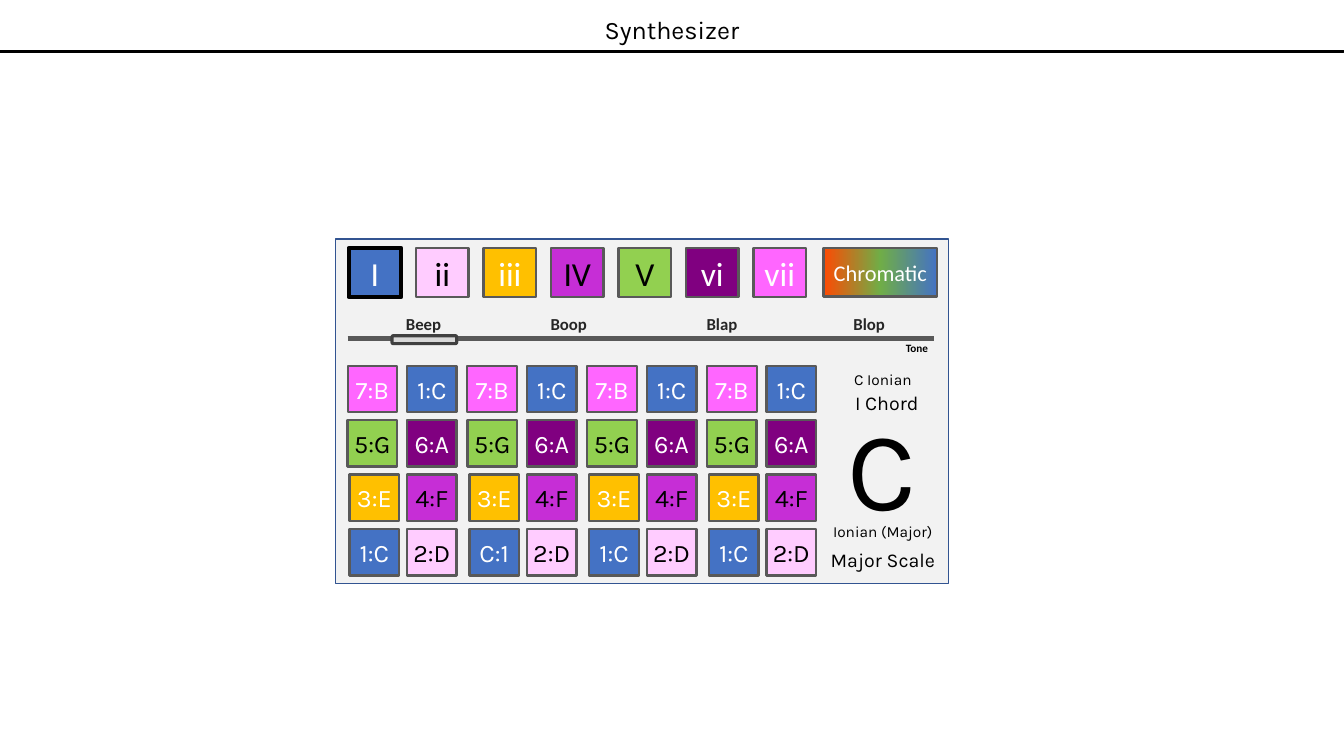
from copy import deepcopy

from lxml import etree
from pptx import Presentation
from pptx.dml.color import RGBColor
from pptx.enum.shapes import MSO_CONNECTOR, MSO_SHAPE
from pptx.enum.text import MSO_ANCHOR, PP_ALIGN
from pptx.oxml.ns import qn
from pptx.util import Cm, Pt

RECT, ROUND = MSO_SHAPE.RECTANGLE, MSO_SHAPE.ROUNDED_RECTANGLE
LINE = MSO_CONNECTOR.STRAIGHT
MID, TOP = MSO_ANCHOR.MIDDLE, MSO_ANCHOR.TOP
CENTER, RIGHT = PP_ALIGN.CENTER, PP_ALIGN.RIGHT

BLACK, WHITE, GRAY = "000000", "FFFFFF", "595959"
BLUE, PINK, ROSE, GOLD = "4472C4", "FFCCFF", "FF66FF", "FFC000"
VIOLET, LIME, PURPLE = "C62ED6", "92D050", "800080"


def color(code):
    return RGBColor.from_string(code)


class Board:
    """Style of the synthesizer and the slide it is drawn on."""
    head, body = "Karla", "Calibri"

    def __init__(self, slide):
        self.slide = slide
        self.shapes = slide.shapes

    def text(self, shape, words, size, font, ink, bold=False,
             align=CENTER, anchor=MID, wrap=False):
        frame = shape.text_frame
        frame.word_wrap = wrap
        frame.vertical_anchor = anchor
        par = frame.paragraphs[0]
        par.alignment = align
        run = par.add_run()
        run.text = words
        run.font.size = Pt(size)
        run.font.name = font
        run.font.bold = bold
        run.font.color.rgb = color(ink)

    def box(self, x, y, w, h, fill, line, width, kind=RECT):
        shape = self.shapes.add_shape(kind, Cm(x), Cm(y), Cm(w), Cm(h))
        shape.shadow.inherit = False
        shape.fill.solid()
        shape.fill.fore_color.rgb = color(fill)
        shape.line.color.rgb = color(line)
        shape.line.width = Pt(width)
        return shape

    def key(self, x, y, w, h, words, fill, ink, size, font,
            line=GRAY, width=None):
        width = width or (1.5 if fill == ROSE else 1.75)
        shape = self.box(x, y, w, h, fill, line, width)
        self.text(shape, words, size, font, ink)
        return shape

    def label(self, x, y, w, h, words, size, font, ink=BLACK, **style):
        shape = self.shapes.add_textbox(Cm(x), Cm(y), Cm(w), Cm(h))
        self.text(shape, words, size, font, ink, **style)

    def blend(self, shape, codes):
        shape.fill.gradient()
        shape.fill.gradient_angle = 0
        stops = shape._element.spPr.find(".//" + qn("a:gsLst"))
        while len(stops) < len(codes):
            stops.append(deepcopy(stops[0]))
        for i, (stop, code) in enumerate(zip(shape.fill.gradient_stops, codes)):
            stop.position = i / (len(codes) - 1)
            stop.color.rgb = color(code)

    def rail(self, x1, x2, y, line, width):
        rail = self.shapes.add_connector(LINE, Cm(x1), Cm(y), Cm(x2), Cm(y))
        rail.line.color.rgb = color(line)
        rail.line.width = Pt(width)
        etree.SubElement(rail._element.spPr, qn("a:effectLst"))


def main():
    deck = Presentation()
    deck.slide_width, deck.slide_height = Cm(33.87), Cm(19.05)
    board = Board(deck.slides.add_slide(deck.slide_layouts[6]))
    head, body = board.head, board.body

    # Title and rule
    board.box(0, 1.27, 33.87, 0.05, BLACK, BLACK, 0.75)
    board.label(0.74, 0.23, 32.39, 1.02, "Synthesizer", 18, head,
                anchor=TOP, wrap=True)

    # Panel
    board.box(8.46, 6.02, 15.44, 8.69, "F2F2F2", "325491", 1)

    # Readout of the note being played
    for x, y, w, h, words, size in (
            (19.53, 13.67, 5.44, 0.86, "Major Scale", 14),
            (19.53, 13.03, 5.44, 0.74, "Ionian (Major)", 11),
            (21.08, 9.93, 2.31, 3.68, "C", 80),
            (19.63, 9.73, 5.44, 0.86, "I Chord", 14),
            (19.53, 9.19, 5.44, 0.74, "C Ionian", 11)):
        board.label(x, y, w, h, words, size, head, anchor=TOP)

    # Chord keys, the first one selected
    chords = (("I", BLUE, WHITE), ("ii", PINK, BLACK), ("iii", GOLD, WHITE),
              ("IV", VIOLET, BLACK), ("V", LIME, BLACK),
              ("vi", PURPLE, WHITE), ("vii", ROSE, WHITE))
    for i, (words, fill, ink) in enumerate(chords):
        mark = {} if i else {"line": BLACK, "width": 3}
        board.key(8.79 + 1.7 * i, 6.25, 1.32, 1.24, words, fill, ink,
                  24, body, **mark)
    key = board.key(20.75, 6.25, 2.87, 1.22, "Chromatic", BLUE, WHITE, 16, body)
    board.blend(key, ("FD4A03", "70AD47", BLUE))

    # Note pads: four equal blocks of two columns
    rows = ((8.76, ("7:B", ROSE, WHITE), ("1:C", BLUE, WHITE)),
            (8.76, ("5:G", LIME, BLACK), ("6:A", PURPLE, WHITE)),
            (8.81, ("3:E", GOLD, WHITE), ("4:F", VIOLET, BLACK)),
            (8.81, ("1:C", BLUE, WHITE), ("2:D", PINK, BLACK)))
    for block in range(4):
        for row, (left, *pair) in enumerate(rows):
            for x, (words, fill, ink) in zip((left, 10.26), pair):
                if (block, row, words) == (1, 3, "1:C"):
                    words = "C:1"
                board.key(x + 3.02 * block, 9.22 + 1.37 * row, 1.25, 1.17,
                          words, fill, ink, 18, head)

    # Tone slider
    for x, words in ((9, "Beep"), (12.66, "Boop"), (16.52, "Blap"),
                     (20.23, "Blop")):
        board.label(x, 7.73, 3.35, 0.84, words, 12, body, "262626", bold=True)
    board.label(19.63, 8.48, 4.01, 0.61, "Tone", 8, body, bold=True,
                align=RIGHT, anchor=TOP, wrap=True)
    board.rail(8.76, 23.55, 8.53, GRAY, 3.5)
    board.box(9.88, 8.46, 1.63, 0.2, "D9D9D9", "404040", 2.25, ROUND)

    deck.save("out.pptx")


if __name__ == "__main__":
    main()
